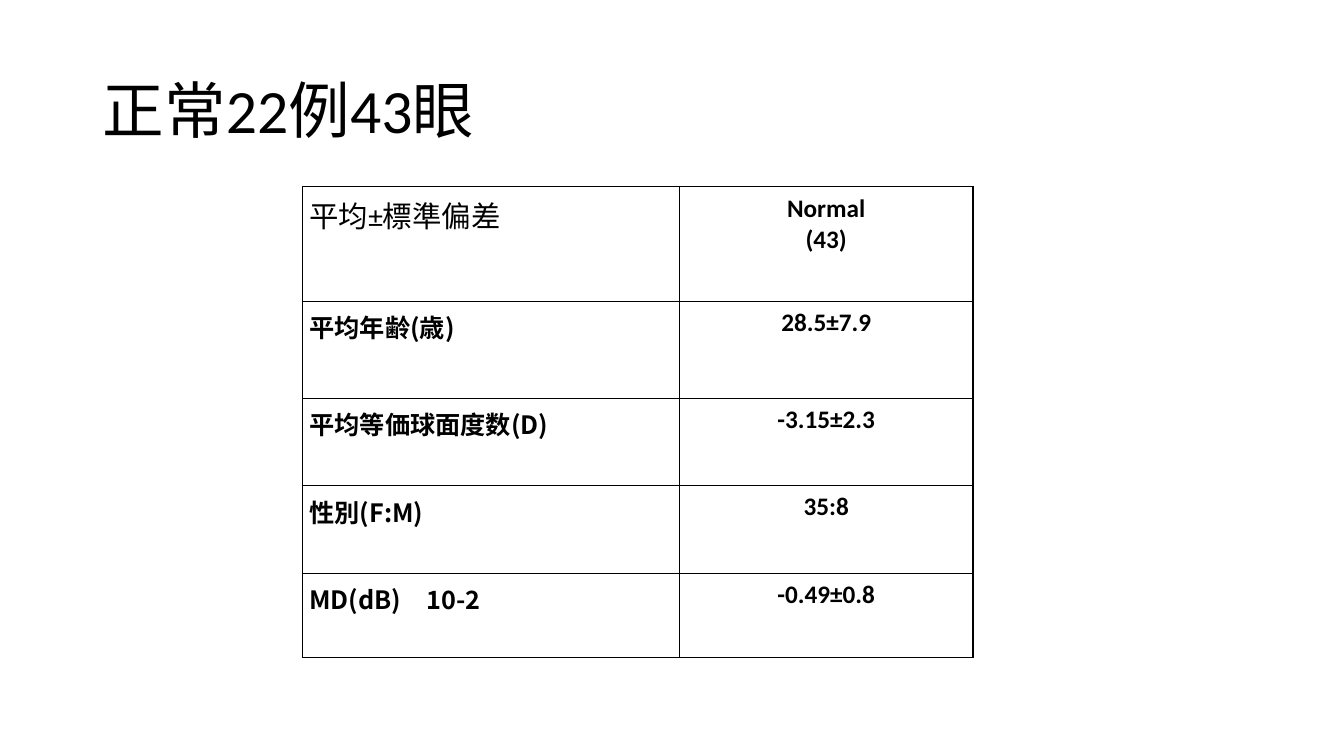
from lxml import etree
from pptx import Presentation
from pptx.dml.color import RGBColor
from pptx.enum.text import MSO_ANCHOR, PP_ALIGN
from pptx.oxml.ns import qn
from pptx.util import Inches, Pt

LEFT, CENTER = PP_ALIGN.LEFT, PP_ALIGN.CENTER
MIDDLE = MSO_ANCHOR.MIDDLE
LATIN, CJK = "Calibri", "Noto Sans CJK JP"
BLACK = "000000"

TITLE = "正常22例43眼"
ROWS = [
    ("平均±標準偏差", "Normal\n(43)"),
    ("平均年齢(歳)", "28.5±7.9"),
    ("平均等価球面度数(D)", "-3.15±2.3"),
    ("性別(F:M)", "35:8"),
    ("MD(dB)　10-2", "-0.49±0.8"),
]
COL_WIDTHS = [3.74, 2.91]
ROW_HEIGHTS = [1.14, 0.96, 0.87, 0.87, 0.83]
TABLE_LEFT, TABLE_TOP = 3, 1.85


def color(hex_code):
    return RGBColor.from_string(hex_code)


def write(tf, text, size, font=LATIN, bold=False, align=LEFT):
    tf.text = text
    for p in tf.paragraphs:
        p.alignment = align
        for r in p.runs:
            r.font.size = Pt(size)
            r.font.bold = bold
            r.font.name = font
            r.font.color.rgb = color(BLACK)
            etree.SubElement(r._r.get_or_add_rPr(), qn("a:ea"), typeface=CJK)


def add_borders(cell, width=1):
    """Draw a solid line on all four sides of a table cell."""
    tcPr = cell._tc.get_or_add_tcPr()
    for i, side in enumerate(("lnL", "lnR", "lnT", "lnB")):
        ln = etree.Element(qn(f"a:{side}"), w=str(Pt(width)))
        fill = etree.SubElement(ln, qn("a:solidFill"))
        etree.SubElement(fill, qn("a:srgbClr"), val=BLACK)
        tcPr.insert(i, ln)


prs = Presentation()
prs.slide_width, prs.slide_height = Inches(13.33), Inches(7.5)
slide = prs.slides.add_slide(prs.slide_layouts[6])

title = slide.shapes.add_textbox(Inches(0.92), Inches(0.4), Inches(11.5), Inches(1.45))
tf = title.text_frame
tf.word_wrap = True
tf.vertical_anchor = MIDDLE
write(tf, TITLE, 44)
tf.paragraphs[0].line_spacing = 0.9

table = slide.shapes.add_table(
    len(ROWS), len(COL_WIDTHS), Inches(TABLE_LEFT), Inches(TABLE_TOP),
    Inches(sum(COL_WIDTHS)), Inches(sum(ROW_HEIGHTS))).table
table.first_row = table.horz_banding = False
for column, width in zip(table.columns, COL_WIDTHS):
    column.width = Inches(width)

for i, (texts, height) in enumerate(zip(ROWS, ROW_HEIGHTS)):
    table.rows[i].height = Inches(height)
    for j, text in enumerate(texts):
        cell = table.cell(i, j)
        margin = Inches(0.06 if i and j else 0.07)
        cell.margin_left = cell.margin_right = margin
        cell.margin_top = cell.margin_bottom = margin
        cell.fill.background()
        add_borders(cell)
        corner = i == j == 0
        write(cell.text_frame, text, 21 if corner else 18,
              font=CJK if i and not j else LATIN,
              bold=not corner, align=CENTER if j else LEFT)

prs.save("out.pptx")
